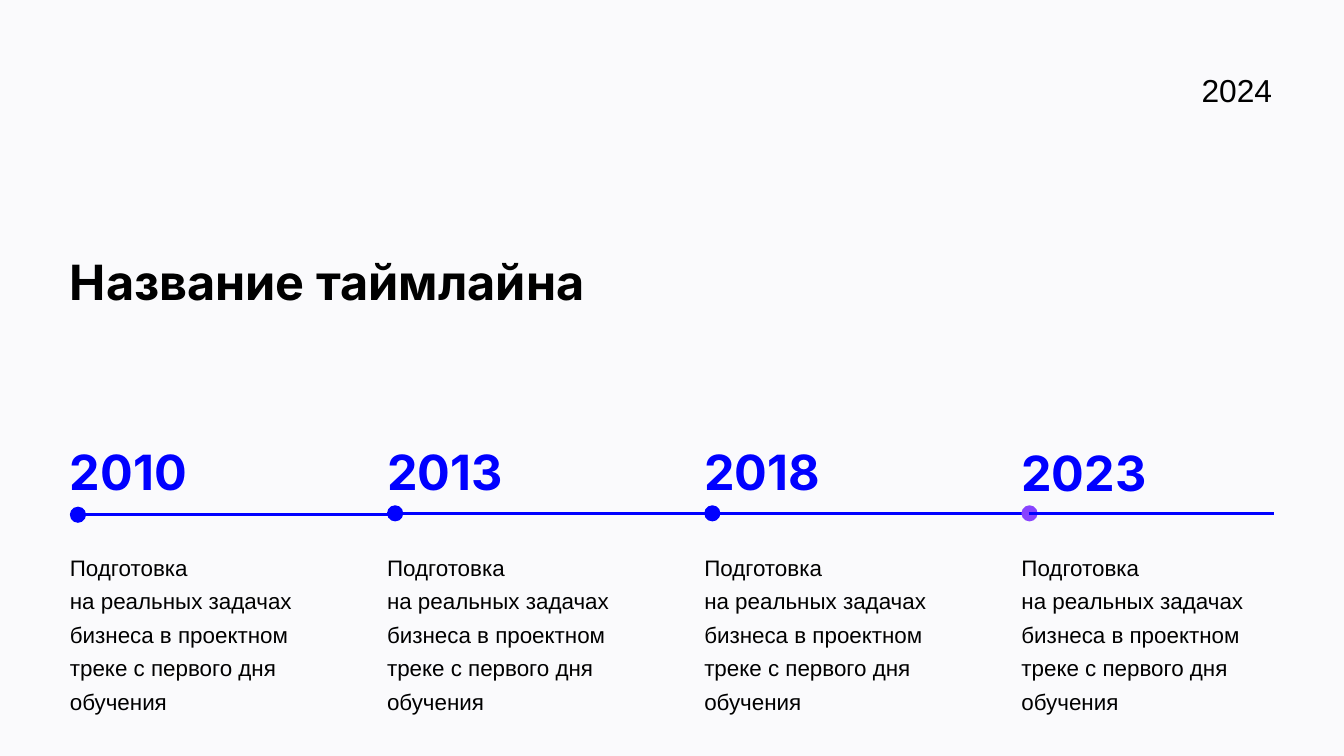
import pptx
import pptx.dml.color
import pptx.enum.shapes
import pptx.oxml
import pptx.oxml.ns
import pptx.util

Inches = pptx.util.Inches
RGB = pptx.dml.color.RGBColor.from_string
COLORS = {"back": "FAFAFC", "text": "000000", "blue": "0000FF", "violet": "8843FF"}

# A 16:9 slide
deck = pptx.Presentation()
deck.slide_width = Inches(10)
deck.slide_height = Inches(10) * 9 // 16
slide = deck.slides.add_slide(deck.slide_layouts[6])
slide.background.fill.solid()
slide.background.fill.fore_color.rgb = RGB(COLORS["back"])


def add_text(text, x, y, w, h, size, face, color, space):
    frame = slide.shapes.add_textbox(Inches(x), Inches(y), Inches(w), Inches(h)).text_frame
    frame.word_wrap = True
    frame.margin_left = frame.margin_right = frame.margin_top = frame.margin_bottom = 0
    frame.text = text
    para = frame.paragraphs[0]
    para.line_spacing = space
    font = para.runs[0].font
    font.size = pptx.util.Pt(size)
    font.name = face
    font.bold = face == "Inter"
    font.color.rgb = RGB(COLORS[color])


def add_line(x, end, y):
    line = slide.shapes.add_connector(
        pptx.enum.shapes.MSO_CONNECTOR.STRAIGHT, Inches(x), Inches(y), Inches(end), Inches(y))
    line.line.color.rgb = RGB(COLORS["blue"])
    line.line.width = pptx.util.Pt(1.67)
    props = line._element.spPr
    props.append(pptx.oxml.parse_xml("<a:effectLst %s/>" % pptx.oxml.ns.nsdecls("a")))


# Title and current year
add_text("Название таймлайна", 0.52, 1.83, 6.09, 0.4, 26, "Inter", "text", 1.11)
add_text("2024", 8.94, 0.46, 0.54, 0.29, 17, "Arial", "text", 1.24)

# Lines between the first four dots
for x, end, y in [(0.52, 2.94, 3.83), (2.88, 5.3, 3.82), (5.3, 7.72, 3.82)]:
    add_line(x, end, y)

# Milestones: year, dot and note; "~" marks a no-break space
note = "Подготовка на~реальных задачах бизнеса в~проектном треке с~первого дня обучения"
note = note.replace("~", chr(160))
stages = [
    ("2010", 3.24, 3.77, "blue"),
    ("2013", 3.24, 3.76, "blue"),
    ("2018", 3.24, 3.76, "blue"),
    ("2023", 3.25, 3.76, "violet"),
]
for i, (year, top, level, color) in enumerate(stages):
    x = 0.52 + 2.36 * i
    add_text(year, x, top, 1.88, 0.4, 26, "Inter", "blue", 1.11)
    add_text(note, x, 4.07, 1.88, 1.04, 12, "Arial", "text", 1.25)
    dot = slide.shapes.add_shape(
        pptx.enum.shapes.MSO_SHAPE.OVAL, Inches(x), Inches(level), Inches(0.12), Inches(0.12))
    dot.shadow.inherit = False
    dot.fill.solid()
    dot.fill.fore_color.rgb = RGB(COLORS[color])
    dot.line.fill.background()

# Closing line, over the last dot
add_line(7.66, 9.48, 3.82)

deck.save("out.pptx")
